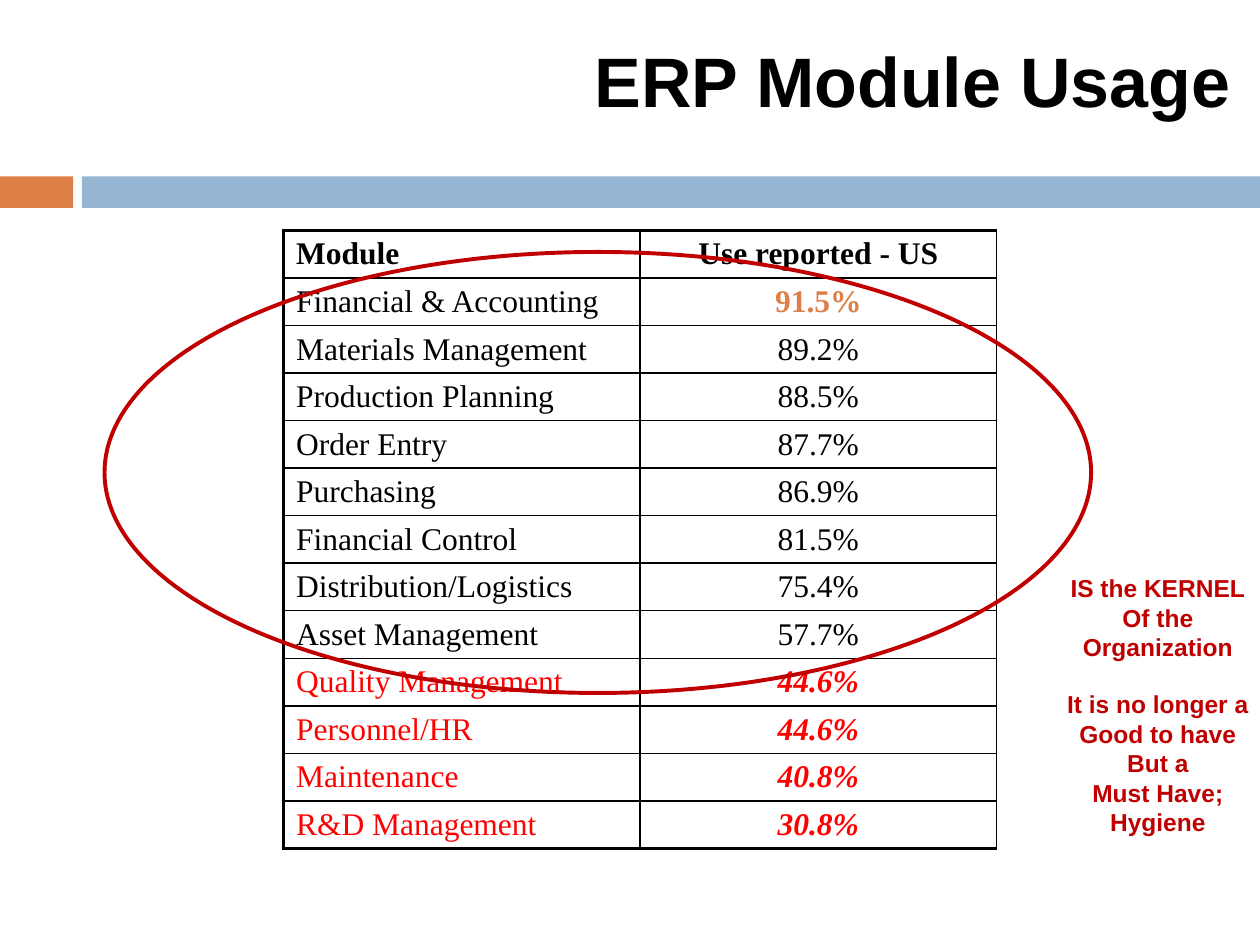
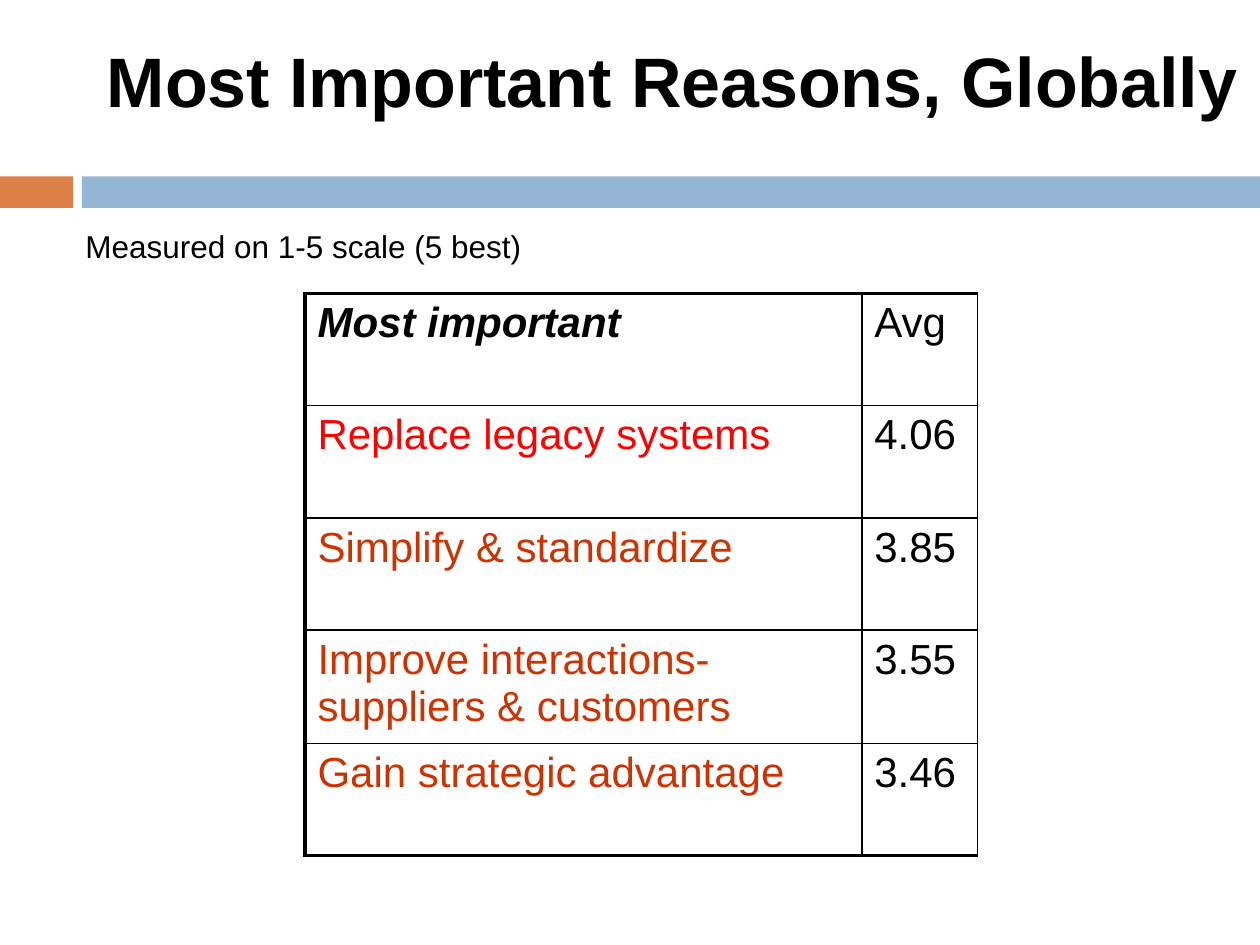
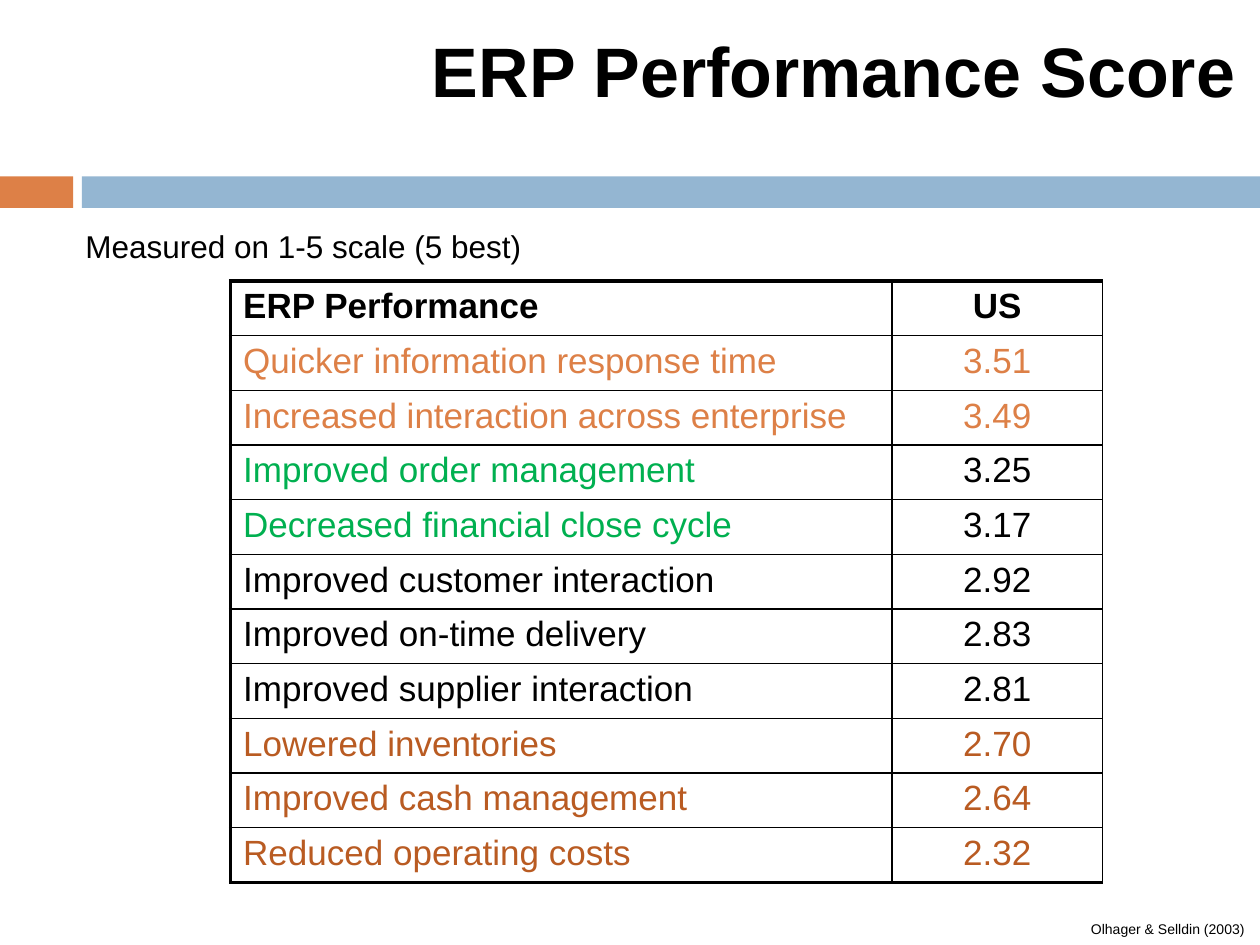
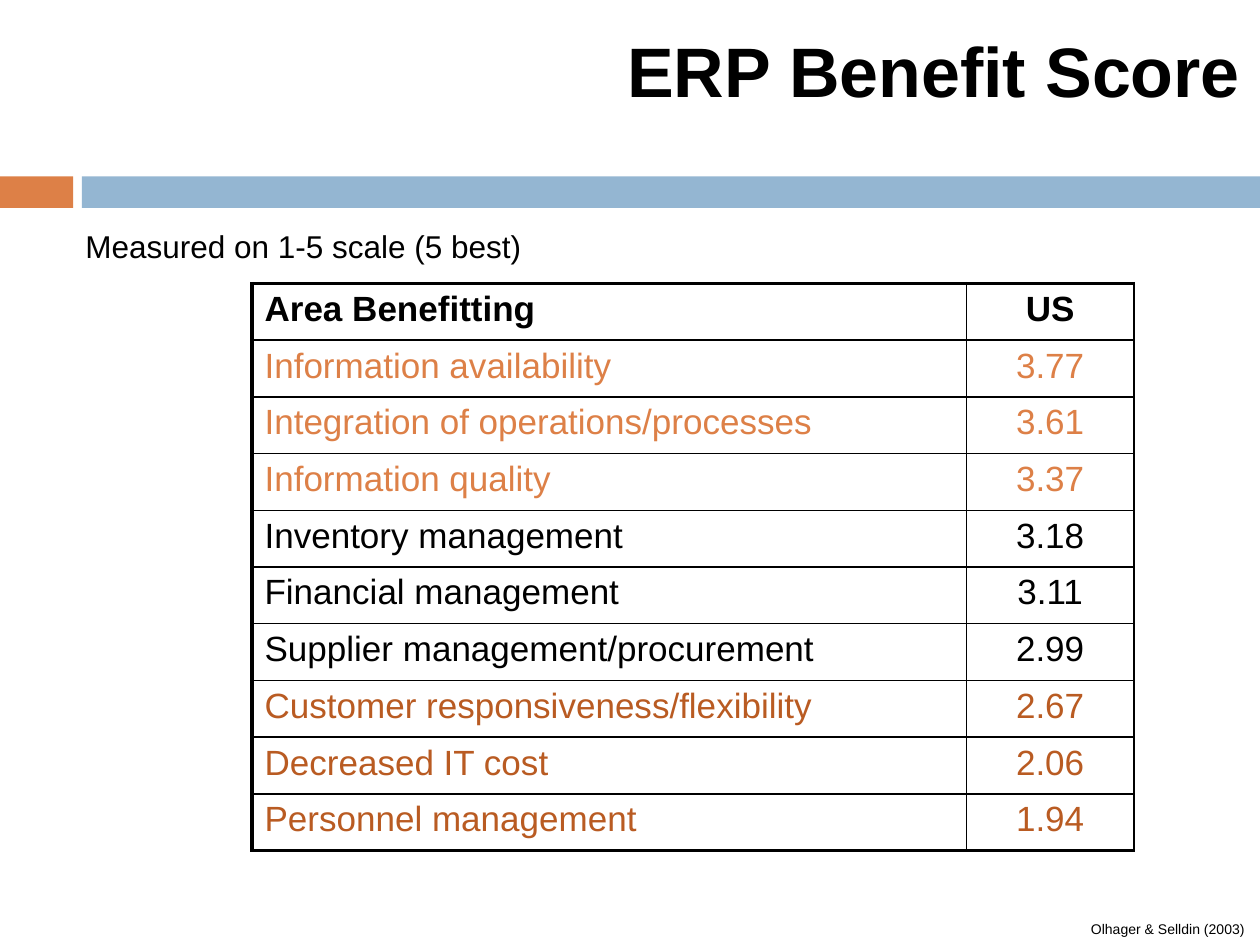
from pptx import Presentation
from pptx import util as u
from pptx.dml.color import RGBColor
from pptx.enum import shapes, text
from pptx.oxml import parse_xml
from pptx.oxml.ns import nsdecls

BLACK, ORANGE, BLUE = "000000", "DD8047", "94B6D2"
RED, DARK_RED, RUST, BROWN, GREEN = "FF0000", "C00000", "CC3300", "B95B22", "00B050"
SANS, SERIF = "Arial", "Times New Roman"
THIN, THICK = 1, 2.25


def rgb(colour):
    return RGBColor.from_string(colour)


def inches(*lengths):
    return [u.Inches(length) for length in lengths]


def format_runs(paragraph, size, colour=BLACK, font=SANS, style=""):
    """Style is any of the letters b (bold) and i (italic)."""
    for run in paragraph.runs:
        run.font.name = font
        run.font.size = u.Pt(size)
        run.font.color.rgb = rgb(colour)
        run.font.bold = "b" in style
        run.font.italic = "i" in style


# Text regions
def add_label(slide, box, lines, size, colour=BLACK, style="", align=None):
    frame = slide.shapes.add_textbox(*inches(*box)).text_frame
    frame.word_wrap = False
    frame.auto_size = text.MSO_AUTO_SIZE.SHAPE_TO_FIT_TEXT
    frame.text = "\n".join(lines)
    for paragraph in frame.paragraphs:
        paragraph.alignment = align
        format_runs(paragraph, size, colour, style=style)
    return frame


def add_title(slide, left, top, width, title):
    add_label(slide, (left, top, width, 0.77), [title], 40, style="b")


def add_scale_note(slide):
    add_label(slide, (0.58, 1.75, 3.69, 0.4), ["Measured on 1-5 scale (5 best)"], 18)


def add_citation(slide):
    add_label(slide, (8.56, 7.26, 1.44, 0.24), ["Olhager & Selldin (2003)"], 8)


# Slide base with the two-part band
def add_banded_slide(deck):
    slide = deck.slides.add_slide(deck.slide_layouts[6])
    for left, width, colour in ((0, 0.58, ORANGE), (0.65, 9.35, BLUE)):
        band = slide.shapes.add_shape(
            shapes.MSO_SHAPE.RECTANGLE, *inches(left, 1.4, width, 0.25))
        band.shadow.inherit = False
        band.fill.solid()
        band.fill.fore_color.rgb = rgb(colour)
        band.line.fill.background()
    return slide


# Tables
def set_borders(cell, left, right, top, bottom):
    properties = cell._tc.get_or_add_tcPr()
    for side, points in zip("LRTB", (left, right, top, bottom)):
        properties.append(parse_xml(
            f'<a:ln{side} {nsdecls("a")} w="{u.Pt(points)}"><a:solidFill>'
            f'<a:srgbClr val="{BLACK}"/></a:solidFill></a:ln{side}>'))


def add_score_table(slide, left, top, widths, row_height, header, groups,
                    size, font=SANS, value_align=text.PP_ALIGN.CENTER):
    """Header holds (text, style) pairs; each group of rows shares
    a label colour, a value colour and a value style."""
    rows = [[(name, BLACK, style) for name, style in header]]
    for label_colour, value_colour, value_style, scores in groups:
        rows += [[(label, label_colour, ""), (value, value_colour, value_style)]
                 for label, value in scores]

    table = slide.shapes.add_table(
        len(rows), len(widths),
        *inches(left, top, sum(widths), row_height * len(rows))).table
    table.first_row = table.horz_banding = False
    for column, width in zip(table.columns, widths):
        column.width = u.Inches(width)

    last = len(rows) - 1
    for r, row in enumerate(rows):
        table.rows[r].height = u.Inches(row_height)
        for c, (content, colour, style) in enumerate(row):
            cell = table.cell(r, c)
            cell.text_frame.text = content
            paragraph = cell.text_frame.paragraphs[0]
            paragraph.alignment = value_align if c else None
            format_runs(paragraph, size, colour, font, style)
            set_borders(cell, THIN if c else THICK, THIN,
                        THIN if r else THICK, THICK if r == last else THIN)
            cell.fill.background()


# Slides
def build_module_usage(deck):
    slide = add_banded_slide(deck)
    add_score_table(
        slide, 2.25, 1.83, (2.83, 2.83), 0.35,
        (("Module", "b"), ("Use reported - US", "b")),
        [(BLACK, ORANGE, "b", [("Financial & Accounting", "91.5%")]),
         (BLACK, BLACK, "", [("Materials Management", "89.2%"),
                             ("Production Planning", "88.5%"),
                             ("Order Entry", "87.7%"),
                             ("Purchasing", "86.9%"),
                             ("Financial Control", "81.5%"),
                             ("Distribution/Logistics", "75.4%"),
                             ("Asset Management", "57.7%")]),
         (RED, RED, "bi", [("Quality Management", "44.6%"),
                           ("Personnel/HR", "44.6%"),
                           ("Maintenance", "40.8%"),
                           ("R&D Management", "30.8%")])],
        18, SERIF)
    add_title(slide, 4.62, 0.25, 5.3, "ERP Module Usage")

    # Ring around the kernel modules, and its remark
    kernel_ring = slide.shapes.add_shape(
        shapes.MSO_SHAPE.OVAL, *inches(0.83, 2, 7.83, 3.5))
    kernel_ring.shadow.inherit = False
    kernel_ring.fill.background()
    kernel_ring.line.color.rgb = rgb(DARK_RED)
    kernel_ring.line.width = u.Pt(THICK)
    remark = add_label(
        slide, (8.36, 4.5, 1.66, 2.22),
        ["IS the KERNEL", "Of the", "Organization", "It is no longer a",
         "Good to have", "But a", "Must Have;", "Hygiene"],
        14, DARK_RED, "b", text.PP_ALIGN.CENTER)
    remark.paragraphs[3].space_before = u.Pt(16)


def build_reasons(deck):
    slide = add_banded_slide(deck)
    add_title(slide, 0.75, 0.25, 9.27, "Most Important Reasons, Globally")
    add_score_table(
        slide, 2.42, 2.33, (4.42, 0.92), 0.89,
        (("Most important", "bi"), ("Avg", "")),
        [(RED, BLACK, "", [("Replace legacy systems", "4.06")]),
         (RUST, BLACK, "", [("Simplify & standardize", "3.85"),
                            ("Improve interactions-suppliers & customers", "3.55"),
                            ("Gain strategic advantage", "3.46")])],
        24, value_align=None)
    add_scale_note(slide)


def build_performance(deck):
    slide = add_banded_slide(deck)
    add_score_table(
        slide, 1.83, 2.23, (5.25, 1.67), 0.41,
        (("ERP Performance", "b"), ("US", "b")),
        [(ORANGE, ORANGE, "", [("Quicker information response time", "3.51"),
                               ("Increased interaction across enterprise", "3.49")]),
         (GREEN, BLACK, "", [("Improved order management", "3.25"),
                             ("Decreased financial close cycle", "3.17")]),
         (BLACK, BLACK, "", [("Improved customer interaction", "2.92"),
                             ("Improved on-time delivery", "2.83"),
                             ("Improved supplier interaction", "2.81")]),
         (BROWN, BROWN, "", [("Lowered inventories", "2.70"),
                             ("Improved cash management", "2.64"),
                             ("Reduced operating costs", "2.32")])],
        20)
    add_scale_note(slide)
    add_title(slide, 3.33, 0.17, 6.64, "ERP Performance Score")
    add_citation(slide)


def build_benefits(deck):
    slide = add_banded_slide(deck)
    add_scale_note(slide)
    add_title(slide, 4.88, 0.17, 5.12, "ERP Benefit Score")
    add_score_table(
        slide, 2, 2.25, (5.67, 1.33), 0.45,
        (("Area Benefitting", "b"), ("US", "b")),
        [(ORANGE, ORANGE, "", [("Information availability", "3.77"),
                               ("Integration of operations/processes", "3.61"),
                               ("Information quality", "3.37")]),
         (BLACK, BLACK, "", [("Inventory management", "3.18"),
                             ("Financial management", "3.11"),
                             ("Supplier management/procurement", "2.99")]),
         (BROWN, BROWN, "", [("Customer responsiveness/flexibility", "2.67"),
                             ("Decreased IT cost", "2.06"),
                             ("Personnel management", "1.94")])],
        20)
    add_citation(slide)


def main():
    deck = Presentation()
    deck.slide_width, deck.slide_height = inches(10, 7.5)
    for build in (build_module_usage, build_reasons, build_performance, build_benefits):
        build(deck)
    deck.save("out.pptx")


if __name__ == "__main__":
    main()
